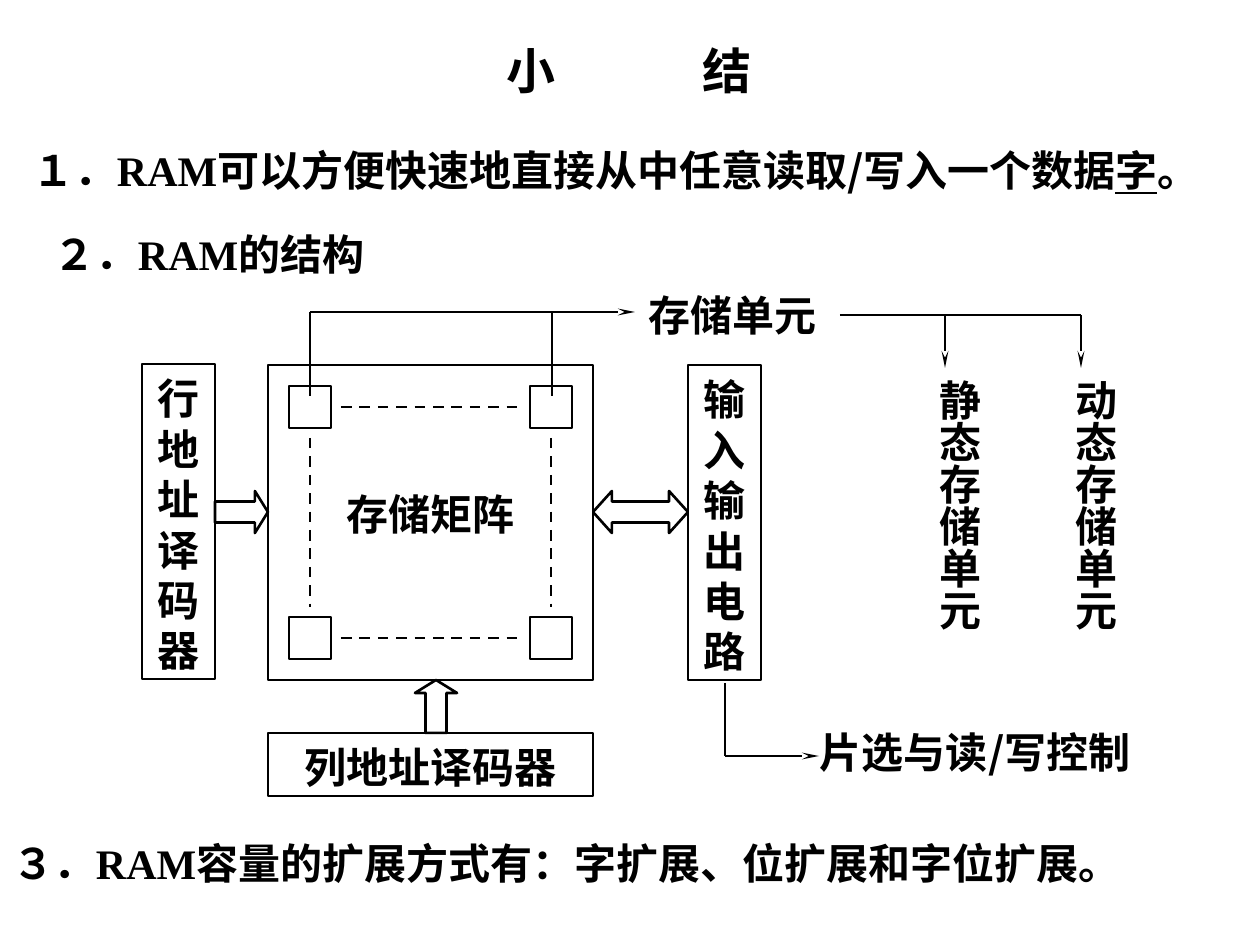
import pptx
import pptx.dml.color
import pptx.enum.dml
import pptx.enum.shapes
import pptx.enum.text
import pptx.oxml
import pptx.oxml.ns
import pptx.util

PX = 914400 / 126
COLORS = {"ink": "000000", "paper": "FFFFFF"}
HAN, ROMAN = "Noto Sans CJK SC", "Times New Roman"
CELL = 42
SHAPES = pptx.enum.shapes.MSO_SHAPE
ALIGN = pptx.enum.text.PP_ALIGN
ANCHOR = pptx.enum.text.MSO_ANCHOR


def emu(*lengths):
    return [pptx.util.Emu(round(length * PX)) for length in lengths]


def color(name):
    return pptx.dml.color.RGBColor.from_string(COLORS[name])


def write(frame, runs, size=24, align=ALIGN.CENTER, wrap=False, upright=False):
    """Fill a frame with (text, latin font, underlined) runs."""
    frame.word_wrap = wrap
    frame.auto_size = pptx.enum.text.MSO_AUTO_SIZE.NONE
    frame.vertical_anchor = ANCHOR.TOP
    margins = (6, 12, 6, 12) if upright else (12, 9, 12, 3)
    (frame.margin_left, frame.margin_top,
     frame.margin_right, frame.margin_bottom) = emu(*margins)
    paragraph = frame.paragraphs[0]
    paragraph.alignment = align
    paragraph.space_before = pptx.util.Pt(0)
    if upright:
        frame._txBody.bodyPr.set("vert", "eaVert")
    else:
        paragraph.line_spacing = pptx.util.Pt(size * 1.2)
    for text, latin, underlined in runs:
        run = paragraph.add_run()
        run.text = text
        run.font.size = pptx.util.Pt(size)
        run.font.bold = True
        run.font.underline = underlined
        run.font.color.rgb = color("ink")
        run.font.name = latin
        east_asian = pptx.oxml.parse_xml(
            f'<a:ea {pptx.oxml.ns.nsdecls("a")} typeface="{HAN}"/>')
        run.font._element.find(pptx.oxml.ns.qn("a:latin")).addnext(east_asian)


def han(text, underlined=False):
    return text, HAN, underlined


def add_label(slide, box, runs, **style):
    write(slide.shapes.add_textbox(*emu(*box)).text_frame, runs, **style)


def add_outline(slide, kind, box, adjustments=()):
    outline = slide.shapes.add_shape(kind, *emu(*box))
    outline.shadow.inherit = False
    outline.fill.background()
    outline.line.color.rgb = color("ink")
    outline.line.width = pptx.util.Pt(1.5)
    for index, value in enumerate(adjustments):
        outline.adjustments[index] = value
    return outline


def add_line(slide, start, end, dashed=False, arrow=False):
    connector = slide.shapes.add_connector(
        pptx.enum.shapes.MSO_CONNECTOR.STRAIGHT, *emu(*start, *end))
    connector.line.color.rgb = color("ink")
    connector.line.width = pptx.util.Pt(1.5)
    if dashed:
        connector.line.dash_style = pptx.enum.dml.MSO_LINE.DASH
    namespace = pptx.oxml.ns.nsdecls("a")
    if arrow:
        connector.line._get_or_add_ln().append(pptx.oxml.parse_xml(
            f'<a:tailEnd {namespace} type="stealth" w="sm" len="lg"/>'))
    connector._element.spPr.append(
        pptx.oxml.parse_xml(f"<a:effectLst {namespace}/>"))


def add_title(slide, box):
    title = slide.shapes.title
    title.left, title.top, title.width, title.height = emu(*box)
    write(title.text_frame, [han("小　　　结")], size=28)


def add_point(slide, box, number, *rest, wrap=True):
    runs = [han(number), ("RAM", ROMAN, False), *rest]
    add_label(slide, box, runs, align=ALIGN.LEFT, wrap=wrap)


def add_memory_matrix(slide, box):
    """Draw the matrix with its corner cells and the dashes between them."""
    left, top, width, height = box
    add_outline(slide, SHAPES.RECTANGLE, box)
    inset = 21
    columns = [left + inset, left + width - inset - CELL]
    rows = [top + inset, top + height - inset - CELL]
    gap = 10
    for x in columns:
        for y in rows:
            add_outline(slide, SHAPES.RECTANGLE, (x, y, CELL, CELL))
    for y in rows:
        middle = y + CELL / 2
        add_line(slide, (columns[0] + CELL + gap, middle),
                 (columns[1] - gap, middle), dashed=True)
    for x in columns:
        middle = x + CELL / 2
        add_line(slide, (middle, rows[0] + CELL + gap),
                 (middle, rows[1] - gap), dashed=True)
    add_label(slide, (left + 63, top + 115, width - 126, 63), [han("存储矩阵")])


def add_block(slide, box, runs, arrow_kind, arrow_box, head):
    """Draw a named block; arrow_box is relative to the block's corner."""
    block = add_outline(slide, SHAPES.RECTANGLE, box)
    write(block.text_frame, runs, wrap=True)
    x, y, width, height = arrow_box
    add_outline(slide, arrow_kind, (box[0] + x, box[1] + y, width, height),
                (0.5, head))


def add_cell_callout(slide, box):
    """Lead from the two upper cells to the name of a storage cell."""
    left, top, width, height = box
    for x in (left, left + 242):
        add_line(slide, (x, top + height), (x, top))
    add_line(slide, (left, top), (left + width, top), arrow=True)
    add_label(slide, (left + width + 1, top - 31, 193, 63), [han("存储单元")])


def add_cell_types(slide, box):
    """Branch from the storage cell to its two types."""
    left, top, width, height = box
    drop = 53
    add_line(slide, (left, top), (left + width, top))
    for x, name in ((left + width - 136, "静态存储单元"),
                    (left + width, "动态存储单元")):
        add_line(slide, (x, top), (x, top + drop), arrow=True)
        add_label(slide, (x - 31, top + drop, 76, height - drop),
                  [han(name)], upright=True)


def add_control(slide, box):
    """Lead down and right to the control signals."""
    left, top, width, height = box
    bottom = top + height
    add_line(slide, (left, top), (left, bottom))
    add_line(slide, (left, bottom), (left + width, bottom), arrow=True)
    add_label(slide, (left + width - 11, bottom - 38, 360, 63),
              [han("片选与读/写控制")], align=ALIGN.LEFT)


def main():
    deck = pptx.Presentation()
    deck.slide_width, deck.slide_height = emu(1260, 945)
    slide = deck.slides.add_slide(deck.slide_layouts[5])
    slide.background.fill.solid()
    slide.background.fill.fore_color.rgb = color("paper")

    add_title(slide, (494, 32, 270, 72))
    add_point(slide, (21, 136, 1236, 63), "１．",
              han("可以方便快速地直接从中任意读取/写入一个数据"),
              han("字", True), han("。"), wrap=False)
    add_point(slide, (42, 220, 368, 63), "２．", han("的结构"))
    add_point(slide, (0, 829, 1229, 63), "３．",
              han("容量的扩展方式有：字扩展、位扩展和字位扩展。"))

    add_memory_matrix(slide, (268, 365, 325, 315))
    add_block(slide, (142, 364, 73, 315), [han("行地址译码器")],
              SHAPES.RIGHT_ARROW, (73, 127, 53, CELL), 0.31)
    add_block(slide, (268, 733, 325, 63), [han("列地址译码器")],
              SHAPES.UP_ARROW, (147, -53, CELL, 53), 0.31)
    add_block(slide, (688, 365, 73, 315),
              [("输入输出", ROMAN, False), han("电路")],
              SHAPES.LEFT_RIGHT_ARROW, (-95, 126, 95, CELL), 0.45)
    add_cell_callout(slide, (310, 312, 325, 84))
    add_cell_types(slide, (840, 315, 241, 318))
    add_control(slide, (725, 683, 94, 73))
    deck.save("out.pptx")


if __name__ == "__main__":
    main()
